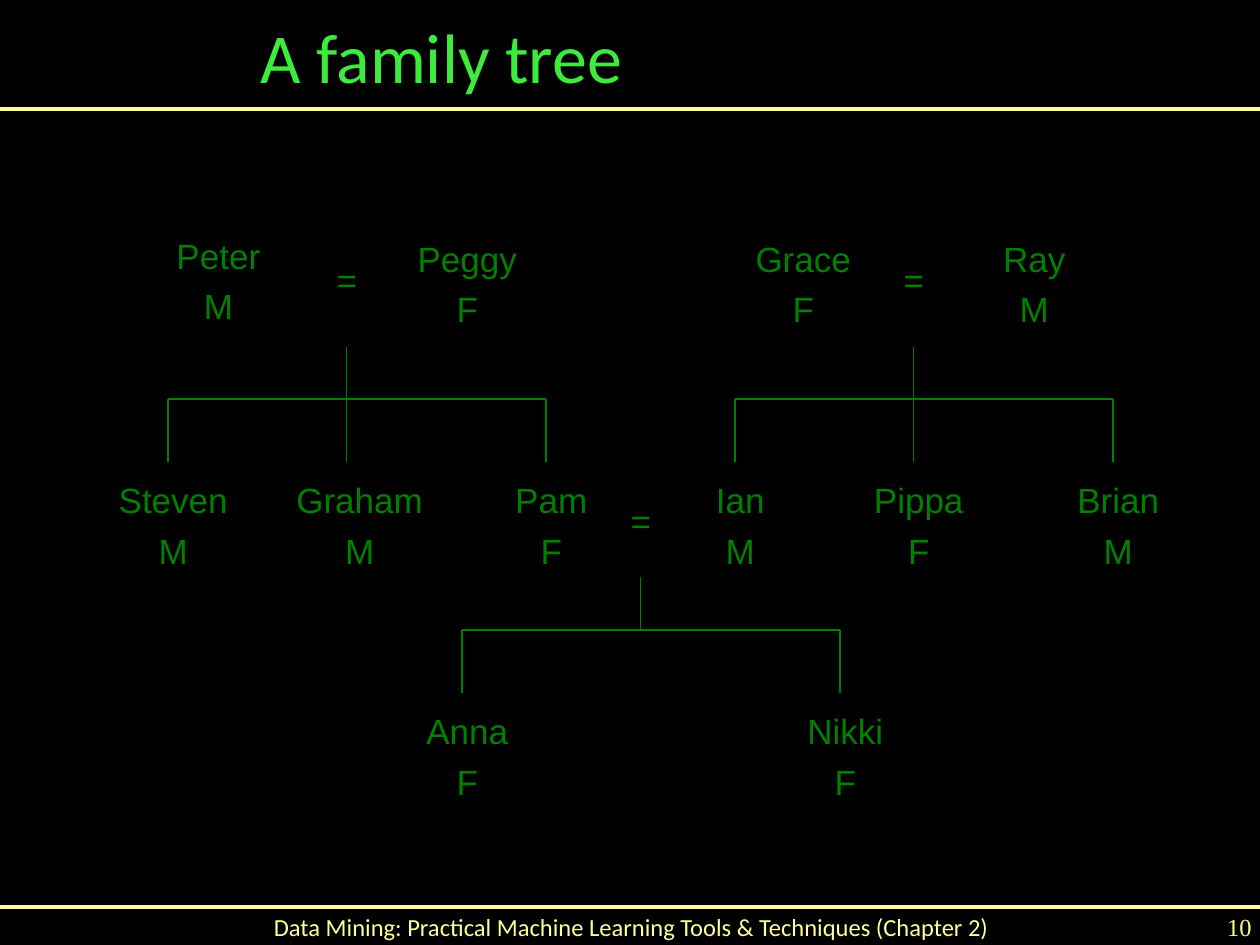
from lxml.etree import SubElement
from pptx import Presentation
from pptx.dml.color import RGBColor
from pptx.enum.shapes import MSO_CONNECTOR as CONN
from pptx.enum.text import MSO_ANCHOR as ANCHOR, PP_ALIGN as ALIGN
from pptx.oxml.ns import qn
from pptx.util import Inches, Pt

BLACK = RGBColor(0x00, 0x00, 0x00)
YELLOW = RGBColor(0xFF, 0xFF, 0x99)
LIME = RGBColor(0x3D, 0xEB, 0x3D)
GREEN = RGBColor(0x00, 0x80, 0x00)

# Grid of 120 columns by 90 rows, twelve to the inch
prs = Presentation()
prs.slide_width, prs.slide_height = Inches(10), Inches(7.5)
U = prs.slide_width / 120
s = prs.slides.add_slide(prs.slide_layouts[5])
s.background.fill.solid()
s.background.fill.fore_color.rgb = BLACK


def write(sp, text, col, row, cols, rows, font="Arial", size=20, color=GREEN,
          align=ALIGN.CENTER, anchor=ANCHOR.TOP, before=5, inset=(0.1, 0.05), italic=None):
    sp.left, sp.top, sp.width, sp.height = (round(n * U) for n in (col, row, cols, rows))
    tf = sp.text_frame
    tf.word_wrap, tf.vertical_anchor = True, anchor
    tf.margin_left = tf.margin_right = Inches(inset[0])
    tf.margin_top = tf.margin_bottom = Inches(inset[1])
    tf.text = text
    for p in tf.paragraphs:
        p.alignment, p.space_before = align, Pt(before)
        f = p.runs[0].font
        f.name, f.size, f.italic = font, Pt(size), italic
        f.color.rgb = color


def line(x1, y1, x2, y2, color=GREEN, width=0.75):
    c = s.shapes.add_connector(CONN.STRAIGHT, *(round(n * U) for n in (x1, y1, x2, y2)))
    c.line.color.rgb, c.line.width = color, Pt(width)
    SubElement(c._element.spPr, qn("a:effectLst"))


def box():
    return s.shapes.add_textbox(0, 0, 0, 0)


# Title, rules and footer
for row in (10.4, 86.4):
    line(0, row, 120.5, row, YELLOW, 2)
write(s.shapes.title, "A family tree", 23.6, -1.1, 99, 12.8, font="Calibri", size=40,
      color=LIME, align=ALIGN.LEFT, anchor=ANCHOR.MIDDLE, before=0)
footer = dict(size=14, color=YELLOW, before=0, inset=(0, 0))
write(box(), "10", 104.4, 86.9, 14.8, 3.1, font="Times New Roman", align=ALIGN.RIGHT, **footer)
write(box(), "Data Mining: Practical Machine Learning Tools & Techniques (Chapter 2)",
      18.8, 86.9, 82.7, 3.1, font="Calibri", **footer)

# People: name, sex, column, row
people = [
    ("Peter", "M", 13.3, 21.7), ("Peggy", "F", 37, 22), ("Grace", "F", 69, 22), ("Ray", "M", 91, 22),
    ("Steven", "M", 9, 45), ("Graham", "M", 26, 45), ("Pam", "F", 45, 45),
    ("Ian", "M", 63, 45), ("Pippa", "F", 80, 45), ("Brian", "M", 99, 45),
    ("Anna", "F", 37, 67), ("Nikki", "F", 73, 67),
]
for name, sex, col, row in people:
    write(box(), f"{name}\n{sex}", col, row, 16.5 if name == "Graham" else 15, 10)

# Couples: centre column, sign row, branch row, stem end, outer children
couples = [(33, 24, 38, 44, (16, 52)), (87, 24, 38, 44, (70, 106)), (61, 47, 60, 60, (44, 80))]
for x, sign, branch, end, children in couples:
    write(box(), "=", x - 4, sign, 8, 5, italic=True)
    line(x, branch - 5, x, end)
    line(children[0], branch, children[1], branch)
    for child in children:
        line(child, branch, child, branch + 6)

prs.save("out.pptx")
